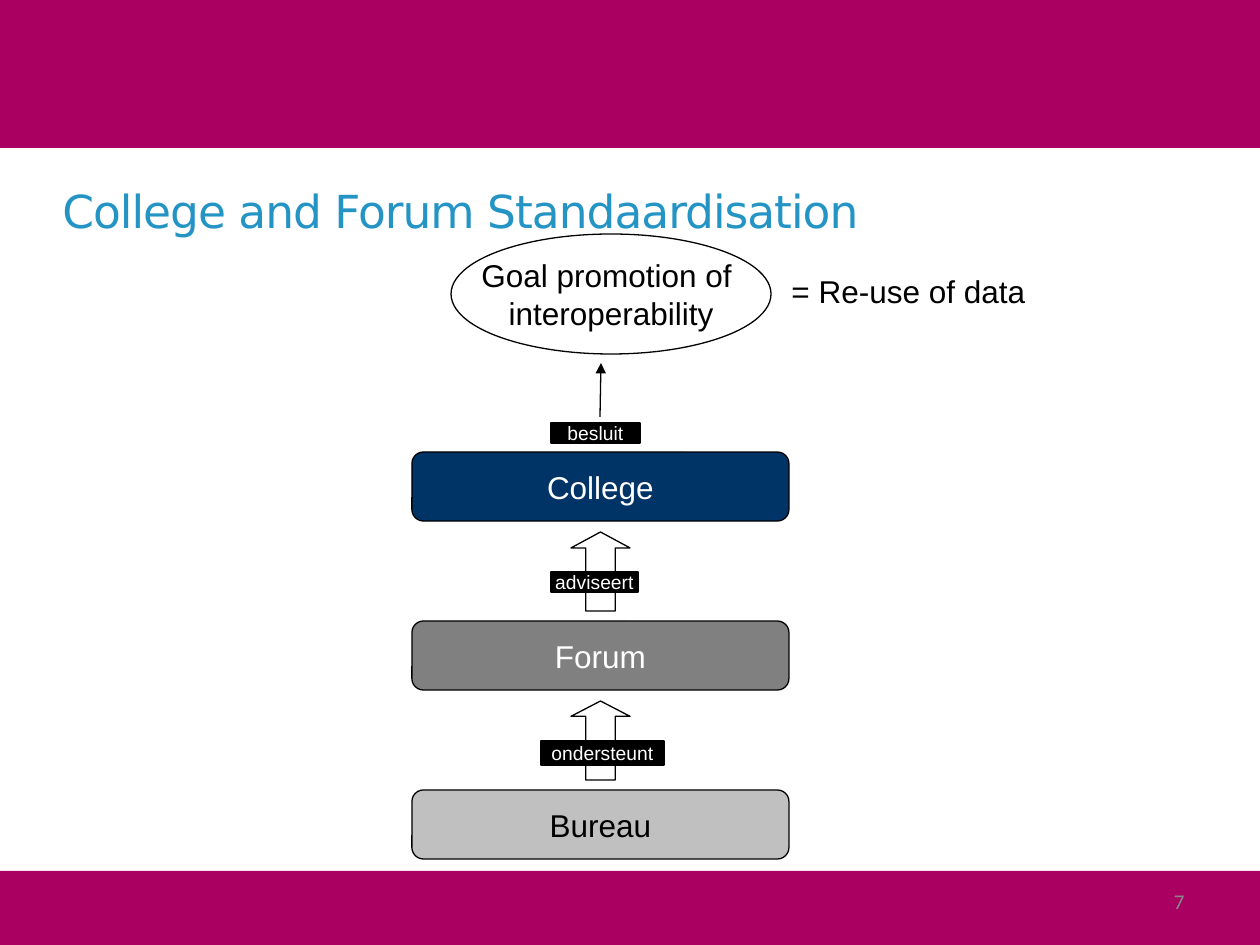
"""Build the slide on the College and Forum governance chain."""
from dataclasses import dataclass

from lxml import etree
from pptx import Presentation
from pptx import util as u
from pptx.dml.color import RGBColor
from pptx.enum import shapes, text
from pptx.oxml import ns

PX = 914400 / 126
COLOURS = {
    "band": "A90061", "title": "2494C5", "number": "898989", "navy": "003366",
    "grey": "808080", "silver": "C0C0C0", "black": "000000", "white": "FFFFFF",
}
BODY_LEFT, BODY_TOP, BODY_PITCH = 412, 452, 169
KINDS = shapes.MSO_SHAPE
ALIGN = text.PP_ALIGN


@dataclass(frozen=True)
class Body:
    name: str
    fill: str
    colour: str


@dataclass(frozen=True)
class Label:
    words: str
    left: int
    top: int
    width: int
    height: int


BODIES = [
    Body("College", "navy", "white"),
    Body("Forum", "grey", "white"),
    Body("Bureau", "silver", "black"),
]
ARROW_HEADS = [0.27, 0.26]
LABELS = [
    Label("besluit", 551, 423, 89, 20),
    Label("adviseert", 551, 572, 87, 20),
    Label("ondersteunt", 541, 741, 123, 24),
]


def emu(pixels: int) -> u.Emu:
    """Turn pixels into EMU."""
    return u.Emu(round(pixels * PX))


def colour_of(name: str) -> RGBColor:
    """Look up a named colour."""
    return RGBColor.from_string(COLOURS[name])


def write(box, words: str, *, size: int = 18, font: str = "Arial", colour: str = "black",
          align=ALIGN.CENTER, anchor=text.MSO_ANCHOR.MIDDLE, wrap: bool = False,
          spacing: int = 0) -> None:
    """Fill a shape with one formatted paragraph."""
    frame = box.text_frame
    frame.word_wrap = wrap
    frame.vertical_anchor = anchor
    para = frame.paragraphs[0]
    para.text = words
    para.alignment = align
    for span in para.runs:
        span.font.size = u.Pt(size)
        span.font.name = font
        span.font.color.rgb = colour_of(colour)
        if spacing:
            span.font._element.set("spc", str(spacing))


def draw(page, kind, left: int, top: int, width: int, height: int,
         fill: str | None = None, line: str | None = "black"):
    """Add a preset shape with a flat fill and a thin outline."""
    box = page.shapes.add_shape(kind, emu(left), emu(top), emu(width), emu(height))
    box.shadow.inherit = False
    if fill:
        box.fill.solid()
        box.fill.fore_color.rgb = colour_of(fill)
    else:
        box.fill.background()
    if line:
        box.line.color.rgb = colour_of(line)
        box.line.width = u.Pt(0.75)
    else:
        box.line.fill.background()
    return box


def add_text(page, words: str, left: int, top: int, width: int, height: int, **style) -> None:
    """Add a text box."""
    box = page.shapes.add_textbox(emu(left), emu(top), emu(width), emu(height))
    write(box, words, **style)


def draw_body(page, body: Body, top: int) -> None:
    """Draw one organisation in the chain."""
    box = draw(page, KINDS.FLOWCHART_ALTERNATE_PROCESS, BODY_LEFT, top, 377, 69, body.fill)
    write(box, body.name, colour=body.colour)


def draw_label(page, label: Label) -> None:
    """Draw a black label naming a relation."""
    box = draw(page, KINDS.RECTANGLE, label.left, label.top, label.width, label.height, "black")
    write(box, label.words, size=11, colour="white")


def draw_decision(page) -> None:
    """Draw the thin arrow from the College to the goal."""
    arrow = page.shapes.add_connector(
        shapes.MSO_CONNECTOR.STRAIGHT, emu(600), emu(417), emu(601), emu(363))
    arrow.line.color.rgb = colour_of("black")
    arrow.line.width = u.Pt(0.75)
    etree.SubElement(arrow.line._get_or_add_ln(), ns.qn("a:tailEnd"), type="triangle")
    etree.SubElement(arrow._element.spPr, ns.qn("a:effectLst"))


def main() -> None:
    """Build and save the deck."""
    deck = Presentation()
    deck.slide_width, deck.slide_height = emu(1260), emu(945)
    page = deck.slides.add_slide(deck.slide_layouts[6])

    for top, height in ((871, 74), (0, 148)):
        draw(page, KINDS.RECTANGLE, 0, top, 1260, height, "band", None)
    add_text(page, "College and Forum Standaardisation", 50, 170, 1081, 80, size=26,
             font="DejaVu Sans", colour="title", align=ALIGN.LEFT, wrap=True, spacing=-60)
    add_text(page, "7", 903, 876, 294, 50, size=12, font="Calibri", colour="number",
             align=ALIGN.RIGHT, wrap=True)

    for row, body in enumerate(BODIES):
        draw_body(page, body, BODY_TOP + row * BODY_PITCH)
    for row, head in enumerate(ARROW_HEADS):
        arrow = draw(page, KINDS.UP_ARROW, 571, BODY_TOP + 80 + row * BODY_PITCH, 59, 79, "white")
        arrow.adjustments[1] = head
    for label in LABELS:
        draw_label(page, label)

    goal = draw(page, KINDS.OVAL, 451, 234, 320, 120)
    write(goal, "Goal promotion of \vinteroperability")
    draw_decision(page)
    add_text(page, "= Re-use of data", 779, 266, 261, 50, align=ALIGN.LEFT,
             anchor=text.MSO_ANCHOR.TOP)
    deck.save("out.pptx")


if __name__ == "__main__":
    main()
